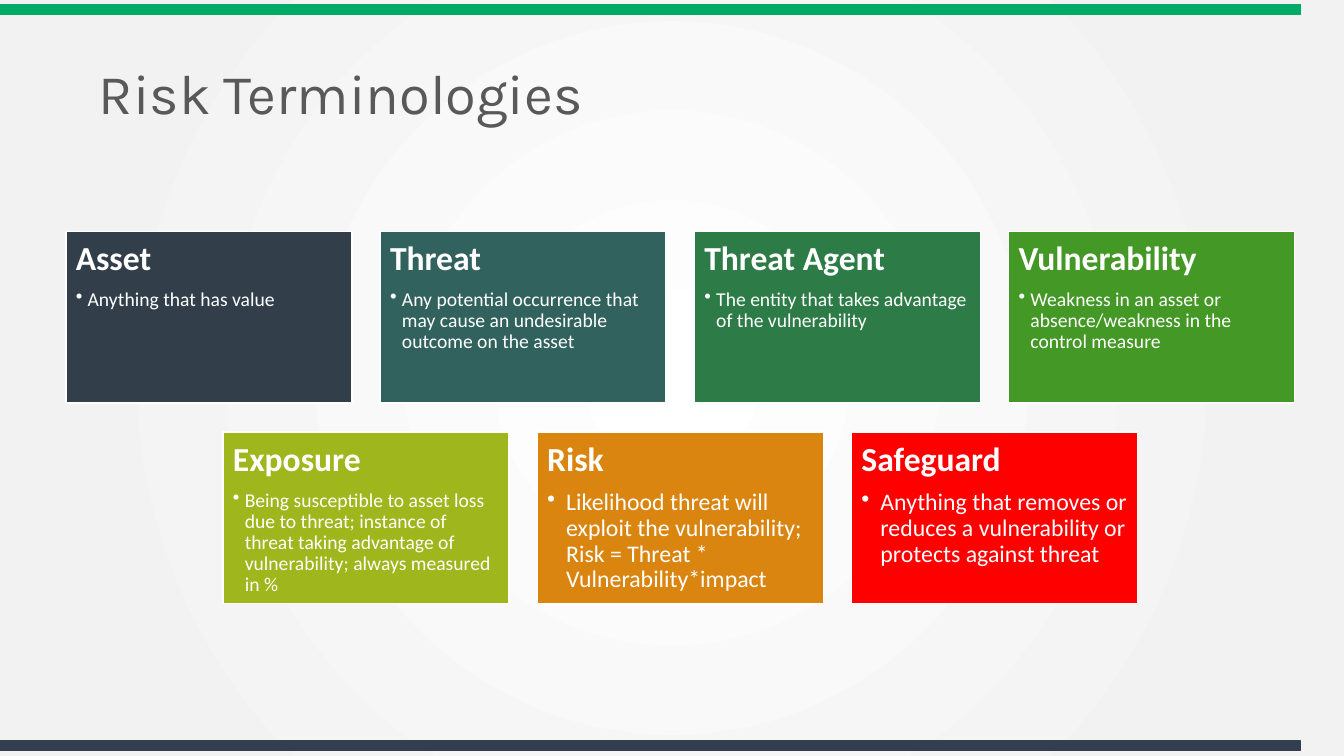
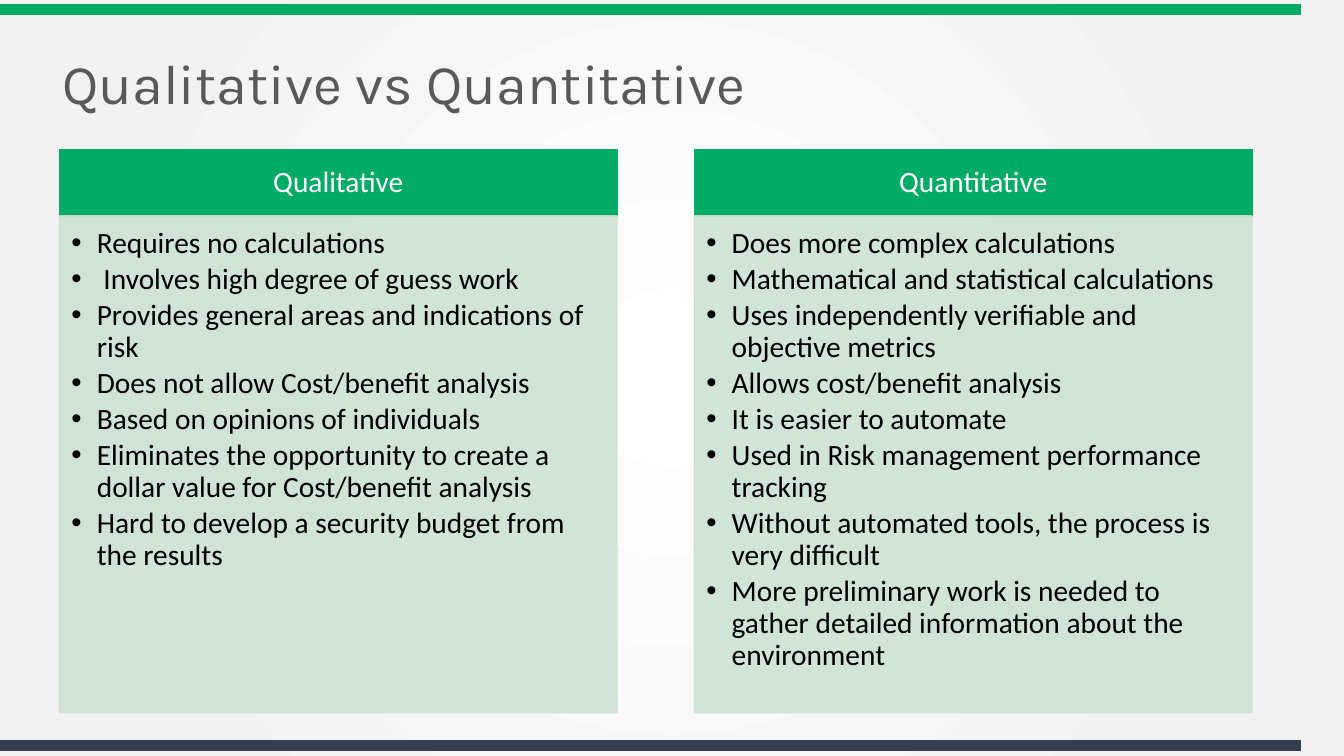
"""Build two slides on risk terms and on qualitative versus quantitative analysis."""
from dataclasses import dataclass

from lxml import etree
from pptx import Presentation
from pptx.dml.color import RGBColor
from pptx.enum.shapes import MSO_SHAPE
from pptx.enum.text import MSO_ANCHOR, MSO_AUTO_SIZE, PP_ALIGN
from pptx.oxml import parse_xml
from pptx.oxml.ns import qn
from pptx.presentation import Presentation as Deck
from pptx.shapes.autoshape import Shape
from pptx.slide import Slide, SlideMaster
from pptx.text.text import TextFrame, _Paragraph
from pptx.util import Cm, Pt

RECTANGLE = MSO_SHAPE.RECTANGLE
TOP, MIDDLE = MSO_ANCHOR.TOP, MSO_ANCHOR.MIDDLE
LEFT, CENTER = PP_ALIGN.LEFT, PP_ALIGN.CENTER
NO_AUTOFIT = MSO_AUTO_SIZE.NONE
TITLE_ONLY, COMPARISON = 5, 4


@dataclass(frozen=True)
class Theme:
    """Colours, fonts and type sizes of the deck."""
    green: str = "00AC65"
    navy: str = "333F50"
    pale_green: str = "CCE3D3"
    white: str = "FFFFFF"
    black: str = "000000"
    title_gray: str = "595959"
    edge_gray: str = "F2F2F2"
    title_font: str = "Karla"
    body_font: str = "Calibri"
    title_size: float = 40
    term_size: float = 24
    column_size: float = 21
    line_spacing: float = 0.9
    heading_gap: float = 0.35
    bullet_gap: float = 0.15
    panel_opacity: int = 90


@dataclass(frozen=True)
class Box:
    """Left, top, width and height in centimetres."""
    left: float
    top: float
    width: float
    height: float


@dataclass(frozen=True)
class Bullet:
    """Type size in points and hanging indent in centimetres."""
    size: float
    indent: float


@dataclass(frozen=True)
class Term:
    """A risk term, its meaning and the look of its card."""
    name: str
    meaning: str
    color: str
    bullet: Bullet


@dataclass(frozen=True)
class Approach:
    """One column of the comparison."""
    name: str
    traits: tuple[str, ...]


THEME = Theme()
SMALL = Bullet(14, 0.3)
LARGE = Bullet(17, 0.48)
TRAIT = Bullet(THEME.column_size, 0.64)

TERM_ROWS = (
    (
        Term("Asset", "Anything that has value", "323F4B", SMALL),
        Term("Threat", "Any potential occurrence that may cause an undesirable "
             "outcome on the asset", "31625D", SMALL),
        Term("Threat Agent", "The entity that takes advantage of the vulnerability",
             "2D7B46", SMALL),
        Term("Vulnerability", "Weakness in an asset or absence/weakness in the "
             "control measure", "449826", SMALL),
    ),
    (
        Term("Exposure", "Being susceptible to asset loss due to threat; instance of "
             "threat taking advantage of vulnerability; always measured in %",
             "9FB71C", SMALL),
        Term("Risk", "Likelihood threat will exploit the vulnerability; "
             "Risk = Threat * Vulnerability*impact", "DA8510", LARGE),
        Term("Safeguard", "Anything that removes or reduces a vulnerability or "
             "protects against threat", "FF0000", LARGE),
    ),
)

APPROACHES = (
    Approach("Qualitative", (
        "Requires no calculations",
        " Involves high degree of guess work",
        "Provides general areas and indications of risk",
        "Does not allow Cost/benefit analysis",
        "Based on opinions of individuals",
        "Eliminates the opportunity to create a dollar value for Cost/benefit analysis",
        "Hard to develop a security budget from the results",
    )),
    Approach("Quantitative", (
        "Does more complex calculations",
        "Mathematical and statistical calculations",
        "Uses independently verifiable and objective metrics",
        "Allows cost/benefit analysis",
        "It is easier to automate",
        "Used in Risk management performance tracking",
        "Without automated tools, the process is very difficult",
        "More preliminary work is needed to gather detailed information about "
        "the environment",
    )),
)


def place(shape: Shape, box: Box) -> None:
    """Move and size a shape."""
    shape.left, shape.top = Cm(box.left), Cm(box.top)
    shape.width, shape.height = Cm(box.width), Cm(box.height)


def paint(shape: Shape, fill: str, line: str) -> None:
    """Give a shape a solid fill and a one-point outline."""
    shape.fill.solid()
    shape.fill.fore_color.rgb = RGBColor.from_string(fill)
    shape.line.color.rgb = RGBColor.from_string(line)
    shape.line.width = Pt(1)


def make_translucent(shape: Shape, percent: int) -> None:
    """Set the opacity of the fill and outline."""
    properties = shape.element.find(qn("p:spPr"))
    for color in properties.iter(qn("a:srgbClr")):
        etree.SubElement(color, qn("a:alpha")).set("val", str(percent * 1000))


def add_rectangle(slide: Slide, box: Box, fill: str, line: str) -> Shape:
    """Draw a flat rectangle."""
    rectangle = slide.shapes.add_shape(
        RECTANGLE, Cm(box.left), Cm(box.top), Cm(box.width), Cm(box.height))
    rectangle.shadow.inherit = False
    paint(rectangle, fill, line)
    return rectangle


def prepare_frame(frame: TextFrame, anchor: MSO_ANCHOR,
                  insets: tuple[float, float, float, float]) -> None:
    """Set wrapping, anchor and insets (left, top, right, bottom)."""
    frame.word_wrap = True
    frame.auto_size = NO_AUTOFIT
    frame.vertical_anchor = anchor
    (frame.margin_left, frame.margin_top,
     frame.margin_right, frame.margin_bottom) = map(Cm, insets)


def write(paragraph: _Paragraph, text: str, size: float, color: str,
          gap: float = 0, font: str = THEME.body_font, bold: bool = False,
          align: PP_ALIGN = LEFT) -> None:
    """Fill a paragraph; the gap below is a share of the type size."""
    paragraph.text = text
    paragraph.alignment = align
    paragraph.line_spacing = THEME.line_spacing
    paragraph.space_before = Pt(0)
    paragraph.space_after = Pt(size * gap)
    paragraph.font.name = font
    paragraph.font.size = Pt(size)
    paragraph.font.bold = bold
    paragraph.font.color.rgb = RGBColor.from_string(color)


def write_bullet(paragraph: _Paragraph, text: str, bullet: Bullet, color: str) -> None:
    """Fill a paragraph with a hanging bullet."""
    write(paragraph, text, bullet.size, color, THEME.bullet_gap)
    properties = paragraph._p.get_or_add_pPr()
    properties.set("marL", str(Cm(bullet.indent)))
    properties.set("indent", str(-Cm(bullet.indent)))
    mark = properties.makeelement(qn("a:buChar"), {"char": "•"})
    properties.find(qn("a:spcAft")).addnext(mark)


def add_title(slide: Slide, text: str, box: Box) -> None:
    """Fill the title placeholder."""
    title = slide.shapes.title
    place(title, box)
    prepare_frame(title.text_frame, MIDDLE, (0.25, 0.13, 0.25, 0.13))
    write(title.text_frame.paragraphs[0], text, THEME.title_size,
          THEME.title_gray, font=THEME.title_font)


def set_background(master: SlideMaster) -> None:
    """Put the radial gradient on the master."""
    stops = "".join(
        f'<a:gs pos="{position * 1000}"><a:srgbClr val="{color}"/></a:gs>'
        for position, color in ((0, THEME.white), (81, THEME.edge_gray),
                                (100, THEME.edge_gray)))
    background = parse_xml(
        '<p:bg xmlns:p="http://schemas.openxmlformats.org/presentationml/2006/main" '
        'xmlns:a="http://schemas.openxmlformats.org/drawingml/2006/main">'
        f'<p:bgPr><a:gradFill rotWithShape="1"><a:gsLst>{stops}</a:gsLst>'
        '<a:path path="circle"><a:fillToRect l="50000" t="50000" r="50000" b="50000"/>'
        '</a:path></a:gradFill><a:effectLst/></p:bgPr></p:bg>')
    content = master.element.find(qn("p:cSld"))
    for former in content.findall(qn("p:bg")):
        content.remove(former)
    content.insert(0, background)


def add_master_bands(master: SlideMaster, slide: Slide) -> None:
    """Draw the two bands and hand them over to the master."""
    for top, color in ((0.11, THEME.green), (18.67, THEME.navy)):
        band = add_rectangle(slide, Box(0, top, 32.77, 0.25), color, color)
        master.shapes.element.insert(2, band.element)


def add_term_card(slide: Slide, term: Term, box: Box) -> None:
    """Draw a card with a term and its meaning."""
    card = add_rectangle(slide, box, term.color, THEME.white)
    frame = card.text_frame
    prepare_frame(frame, TOP, (0.25, 0.25, 0.25, 0.25))
    write(frame.paragraphs[0], term.name, THEME.term_size, THEME.white,
          THEME.heading_gap, bold=True)
    write_bullet(frame.add_paragraph(), term.meaning, term.bullet, THEME.white)


def build_terminologies(slide: Slide) -> None:
    """Lay out the cards in centred rows."""
    add_title(slide, "Risk Terminologies", Box(2.24, 1.42, 29.72, 2.03))
    left, top, width, height = 1.66, 5.84, 7.21, 4.32
    column_pitch, row_pitch = 7.92, 5.05
    longest = max(map(len, TERM_ROWS))
    for row, terms in enumerate(TERM_ROWS):
        start = left + (longest - len(terms)) * column_pitch / 2
        for column, term in enumerate(terms):
            add_term_card(slide, term, Box(start + column * column_pitch,
                                           top + row * row_pitch, width, height))


def fill_approach(heading: Shape, panel: Shape, approach: Approach, left: float) -> None:
    """Fill the heading and list placeholders of one column."""
    top, width, heading_height, panel_height = 3.76, 14.05, 1.68, 12.52
    place(heading, Box(left, top, width, heading_height))
    paint(heading, THEME.green, THEME.green)
    prepare_frame(heading.text_frame, MIDDLE, (0.41, 0.23, 0.41, 0.23))
    write(heading.text_frame.paragraphs[0], approach.name, THEME.column_size,
          THEME.white, THEME.heading_gap, align=CENTER)

    place(panel, Box(left, top + heading_height, width, panel_height))
    paint(panel, THEME.pale_green, THEME.pale_green)
    make_translucent(panel, THEME.panel_opacity)
    frame = panel.text_frame
    prepare_frame(frame, TOP, (0.3, 0.3, 0.41, 0.46))
    for number, trait in enumerate(approach.traits):
        paragraph = frame.add_paragraph() if number else frame.paragraphs[0]
        write_bullet(paragraph, trait, TRAIT, THEME.black)


def build_comparison(slide: Slide) -> None:
    """Lay out the two approaches side by side."""
    add_title(slide, "Qualitative vs Quantitative", Box(1.32, 0.33, 29.21, 3.68))
    parts = list(slide.placeholders)[1:5]
    for column, approach in enumerate(APPROACHES):
        heading, panel = parts[2 * column:2 * column + 2]
        fill_approach(heading, panel, approach, 1.5 + column * 16)


def main() -> None:
    """Build and save the deck."""
    deck: Deck = Presentation()
    deck.slide_width, deck.slide_height = Cm(33.87), Cm(19.05)
    terminologies = deck.slides.add_slide(deck.slide_layouts[TITLE_ONLY])
    comparison = deck.slides.add_slide(deck.slide_layouts[COMPARISON])
    set_background(deck.slide_master)
    add_master_bands(deck.slide_master, terminologies)
    build_terminologies(terminologies)
    build_comparison(comparison)
    deck.save("out.pptx")


main()
